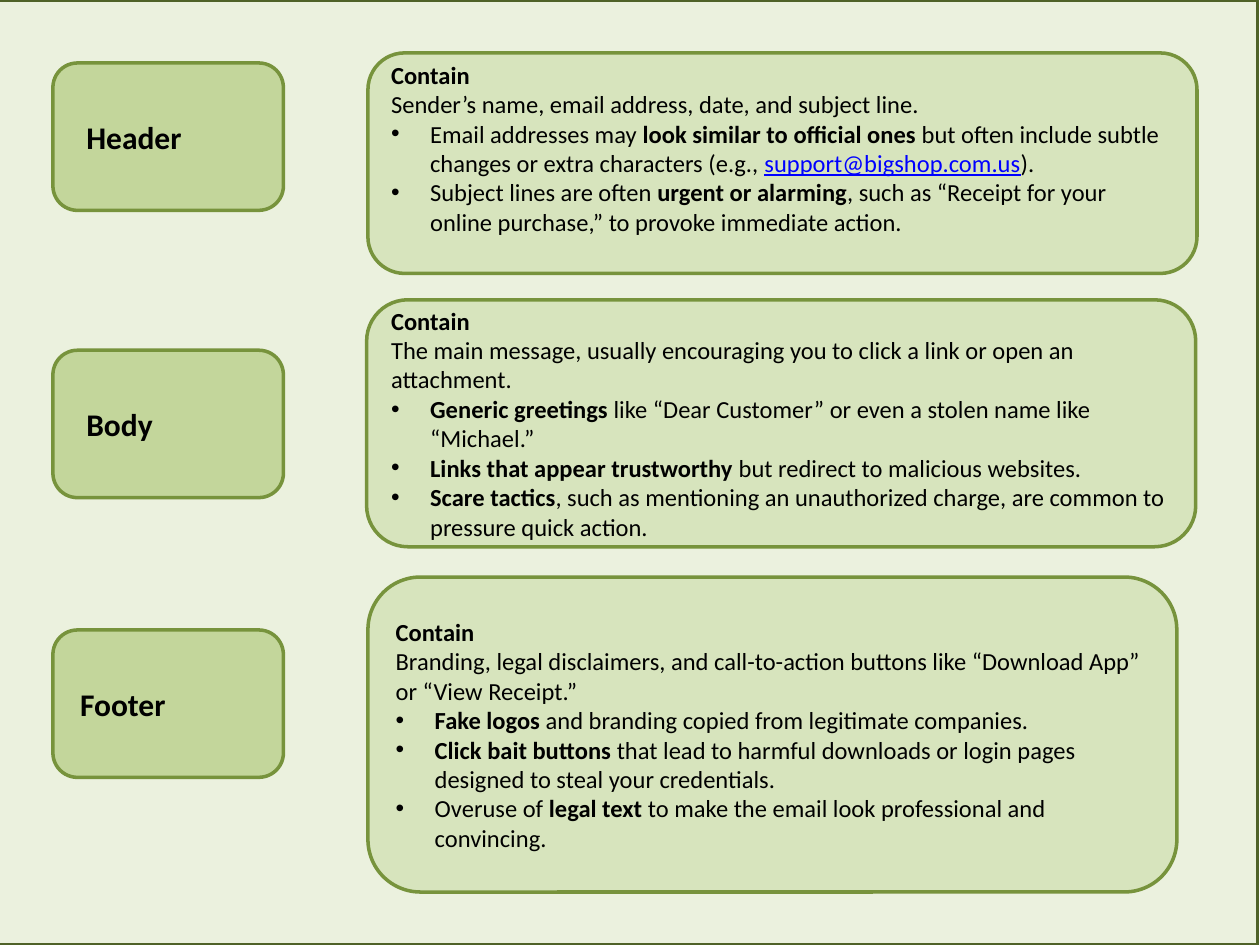
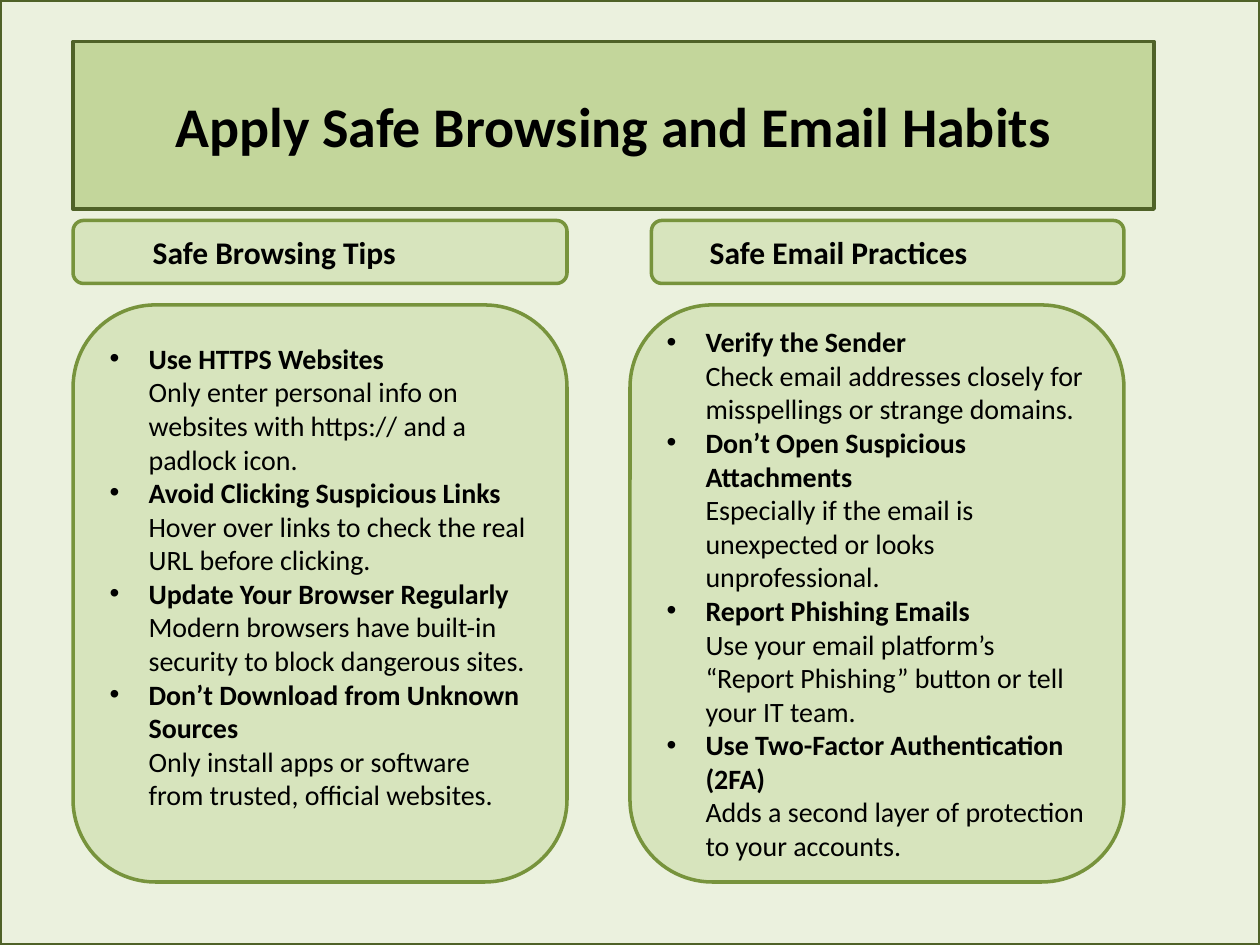
import pptx
import pptx.util
import pptx.dml.color
import pptx.enum.shapes
import pptx.enum.text
import pptx.oxml.ns
from lxml import etree

Inches, Pt = pptx.util.Inches, pptx.util.Pt
qn = pptx.oxml.ns.qn
FONT = "Calibri"
HEX = {"page": "EBF1DE", "dark": "4F6228", "label": "C3D69B", "panel": "D7E4BD",
       "edge": "77933C", "text": "000000", "link": "0000FF"}
RGB = {name: pptx.dml.color.RGBColor.from_string(code) for name, code in HEX.items()}
RECT = pptx.enum.shapes.MSO_SHAPE.RECTANGLE
ROUND = pptx.enum.shapes.MSO_SHAPE.ROUNDED_RECTANGLE
LEFT, CENTER = pptx.enum.text.PP_ALIGN.LEFT, pptx.enum.text.PP_ALIGN.CENTER


def add_box(slide, kind, at, fill, edge):
    box = slide.shapes.add_shape(kind, *[Inches(n) for n in at])
    box.shadow.inherit = False
    box.fill.solid()
    box.fill.fore_color.rgb = RGB[fill]
    box.line.color.rgb = RGB[edge]
    box.line.width = Pt(2)
    return box


def write(box, paras, size, indent=0, align=LEFT, below=0.05):
    """Fill a box: *stars* mark bold or an address, a leading • makes a bullet."""
    frame = box.text_frame
    frame.word_wrap = True
    frame.vertical_anchor = pptx.enum.text.MSO_ANCHOR.MIDDLE
    frame.margin_bottom = Inches(below)
    for i, text in enumerate(paras):
        para = frame.add_paragraph() if i else frame.paragraphs[0]
        para.alignment = align
        props = para._p.get_or_add_pPr()
        if text.startswith("•"):
            props.set("marL", str(Inches(0.31)))
            props.set("indent", str(-Inches(0.31)))
            etree.SubElement(props, qn("a:buFont"), typeface="Arial")
            etree.SubElement(props, qn("a:buChar"), char="•")
        elif indent:
            props.set("marL", str(Inches(indent)))
        for j, part in enumerate(text.lstrip("•").split("*")):
            for k, line in enumerate(part.split("\n")):
                if k:
                    para.add_line_break()
                    etree.SubElement(para._p[-1], qn("a:rPr"), sz=str(size * 100))
                if not line:
                    continue
                run = para.add_run()
                run.text = line
                link = "@" in line
                run.font.name = FONT
                run.font.size = Pt(size)
                run.font.bold = j % 2 == 1 and not link
                run.font.underline = link
                run.font.color.rgb = RGB["link" if link else "text"]


deck = pptx.Presentation()
deck.slide_width, deck.slide_height = Inches(10), Inches(7.5)
slides = []
for left in (-0.02, 0):
    slide = deck.slides.add_slide(deck.slide_layouts[6])
    add_box(slide, RECT, (left, 0, 10, 7.5), "page", "dark")
    slides.append(slide)
parts, habits = slides

# Parts of a phishing email: label, its top and indent, panel place, bottom inset, text
rows = [
    ("Header", 0.5, 0.11, (2.92, 0.42, 6.58, 1.75), 0.29, [
        "*Contain*\nSender’s name, email address, date, and subject line.",
        "•Email addresses may *look similar to official ones* but often include subtle "
        "changes or extra characters (e.g., *support@bigshop.com.us*).",
        "•Subject lines are often *urgent or alarming*, such as “Receipt for your online "
        "purchase,” to provoke immediate action."]),
    ("Body", 2.78, 0.11, (2.91, 2.38, 6.58, 1.96), 0.05, [
        "*Contain*\nThe main message, usually encouraging you to click a link or open an "
        "attachment.",
        "•*Generic greetings* like “Dear Customer” or even a stolen name like “Michael.”",
        "•*Links that appear trustworthy* but redirect to malicious websites.",
        "•*Scare tactics*, such as mentioning an unauthorized charge, are common to "
        "pressure quick action."]),
    ("Footer", 5, 0.06, (2.92, 4.58, 6.42, 2.5), 0.05, [
        "*Contain*\nBranding, legal disclaimers, and call-to-action buttons like "
        "“Download App” or “View Receipt.”",
        "•*Fake logos* and branding copied from legitimate companies.",
        "•*Click bait buttons* that lead to harmful downloads or login pages designed to "
        "steal your credentials.",
        "•Overuse of *legal text* to make the email look professional and convincing."]),
]
for name, top, indent, place, below, paras in rows:
    label = add_box(parts, ROUND, (0.42, top, 1.83, 1.17), "label", "edge")
    write(label, [f"*{name}*"], 18, indent)
    panel = add_box(parts, ROUND, place, "panel", "edge")
    write(panel, paras, 14, below=below)

# Safe habits: heading, its left, width and indent, panel left, bottom inset, tips
title = add_box(habits, RECT, (0.58, 0.33, 8.58, 1.33), "label", "dark")
write(title, ["*Apply Safe Browsing and Email Habits*"], 32, align=CENTER)
columns = [
    ("Safe Browsing Tips", 0.58, 3.92, 0.51, 0.58, 0.32, [
        ("Use HTTPS Websites",
         "Only enter personal info on websites with https:// and a padlock icon."),
        ("Avoid Clicking Suspicious Links",
         "Hover over links to check the real URL before clicking."),
        ("Update Your Browser Regularly",
         "Modern browsers have built-in security to block dangerous sites."),
        ("Don’t Download from Unknown Sources",
         "Only install apps or software from trusted, official websites.")]),
    ("Safe Email Practices", 5.17, 3.75, 0.34, 5, 0.05, [
        ("Verify the Sender",
         "Check email addresses closely for misspellings or strange domains."),
        ("Don’t Open Suspicious Attachments",
         "Especially if the email is unexpected or looks unprofessional."),
        ("Report Phishing Emails",
         "Use your email platform’s “Report Phishing” button or tell your IT team."),
        ("Use Two-Factor Authentication (2FA)",
         "Adds a second layer of protection to your accounts.")]),
]
for name, left, width, indent, edge, below, tips in columns:
    head = add_box(habits, ROUND, (left, 1.75, width, 0.5), "panel", "edge")
    write(head, [f"*{name}*"], 18, indent)
    panel = add_box(habits, ROUND, (edge, 2.42, 3.92, 4.58), "panel", "edge")
    write(panel, [f"•*{tip}*\n{why}" for tip, why in tips], 16, below=below)

deck.save("out.pptx")
